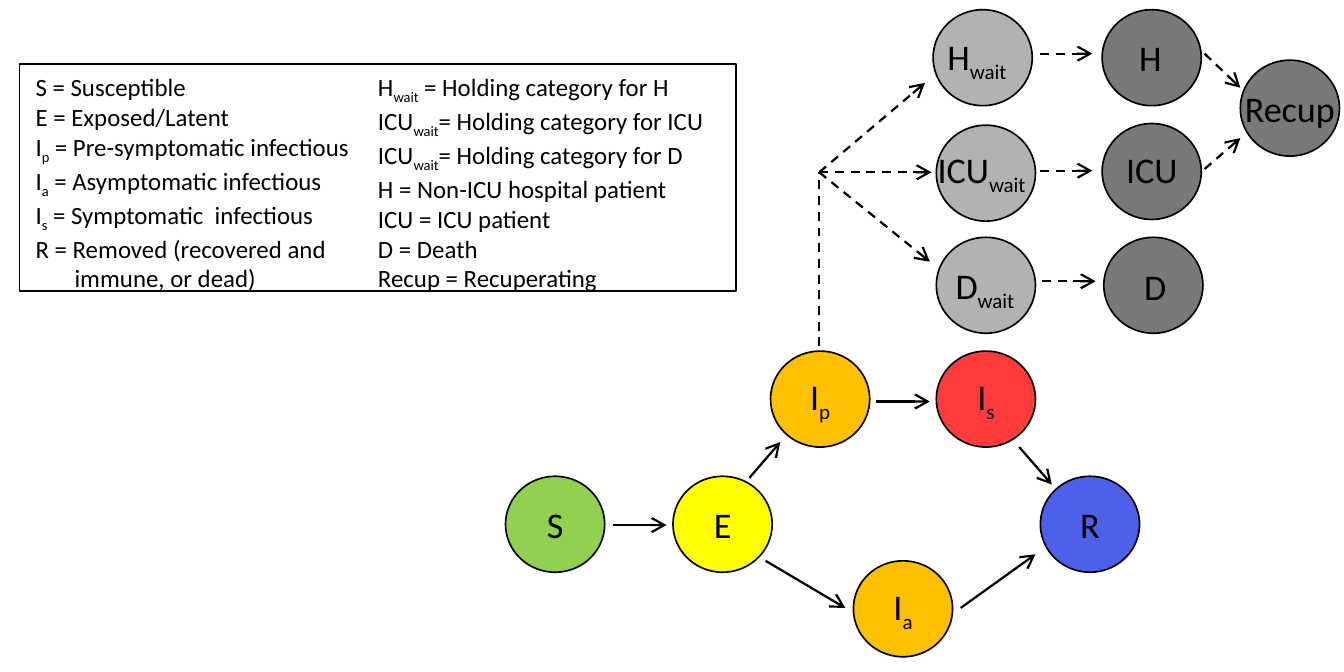
from dataclasses import dataclass

from pptx import Presentation
from pptx.dml.color import RGBColor
from pptx.enum.dml import MSO_LINE
from pptx.enum.shapes import MSO_CONNECTOR, MSO_SHAPE
from pptx.enum.text import MSO_ANCHOR as Anchor, MSO_AUTO_SIZE as AutoSize, PP_ALIGN as Align
from pptx.oxml.ns import qn
from pptx.util import Cm, Inches, Pt
from lxml.etree import SubElement


@dataclass(frozen=True)
class Theme:
    font: str = "Calibri"
    ink: str = "000000"
    susceptible: str = "92D050"
    exposed: str = "FFFF00"
    infectious: str = "FFC000"
    symptomatic: str = "FF3B3B"
    removed: str = "4D60E9"
    waiting: str = "B2B2B2"
    hospital: str = "797979"
    legend_size: float = 11
    node_size: float = 16
    outline: float = 0.75
    arrow: float = 1


THEME = Theme()
CELL = Inches(0.1)
NODE_WIDTH, NODE_HEIGHT = 6.1, 5.9
LABEL_HEIGHT = 3.7
HANGING_INDENT = 2.4


@dataclass(frozen=True)
class Box:
    left: float
    top: float
    width: float
    height: float

    def inside(self, left, top, width, height):
        return Box(self.left + left, self.top + top, width, height)

    def emu(self):
        return [cells(n) for n in (self.left, self.top, self.width, self.height)]


def cells(count):
    return round(count * CELL)


def rgb(color):
    return RGBColor.from_string(color)


def write(frame, lines, size=THEME.node_size, align=Align.LEFT, anchor=Anchor.TOP,
          grow=False, indents=()):
    frame.word_wrap = True
    frame.vertical_anchor = anchor
    frame.auto_size = AutoSize.SHAPE_TO_FIT_TEXT if grow else AutoSize.NONE
    for index, line in enumerate(lines):
        para = frame.add_paragraph() if index else frame.paragraphs[0]
        para.alignment = align
        if index in indents:
            para._p.get_or_add_pPr().set("marL", str(cells(HANGING_INDENT)))
        for part, text in enumerate(line.split("~")):
            if not text:
                continue
            span = para.add_run()
            span.text = text
            span.font.name = THEME.font
            span.font.size = Pt(size)
            span.font.color.rgb = rgb(THEME.ink)
            if part % 2:
                span.font._element.set("baseline", "-25000")


def outlined(page, kind, box, fill=None):
    shape = page.shapes.add_shape(kind, *box.emu())
    shape.shadow.inherit = False
    if fill:
        shape.fill.solid()
        shape.fill.fore_color.rgb = rgb(fill)
    else:
        shape.fill.background()
    shape.line.color.rgb = rgb(THEME.ink)
    shape.line.width = Pt(THEME.outline)
    return shape


def node(page, box, left, top, fill):
    return outlined(page, MSO_SHAPE.OVAL, box.inside(left, top, NODE_WIDTH, NODE_HEIGHT), fill)


def connect(page, box, start, end, dashed=False, head=True):
    points = [cells(n) for x, y in (start, end) for n in (box.left + x, box.top + y)]
    connector = page.shapes.add_connector(MSO_CONNECTOR.STRAIGHT, *points)
    connector.line.color.rgb = rgb(THEME.ink)
    connector.line.width = Pt(THEME.arrow)
    if dashed:
        connector.line.dash_style = MSO_LINE.DASH
    if head:
        SubElement(connector.line._get_or_add_ln(), qn("a:tailEnd")).set("type", "arrow")
    SubElement(connector._element.spPr, qn("a:effectLst"))


def legend(page, box):
    lines = [
        "S = Susceptible",
        "E = Exposed/Latent",
        "I~p~ = Pre-symptomatic infectious",
        "I~a~ = Asymptomatic infectious",
        "I~s~ = Symptomatic  infectious",
        "R = Removed (recovered and",
        "immune, or dead)",
        "H~wait~ = Holding category for H",
        "ICU~wait~= Holding category for ICU",
        "ICU~wait~= Holding category for D",
        "H = Non-ICU hospital patient",
        "ICU = ICU patient",
        "D = Death",
        "Recup = Recuperating",
    ]
    frame = outlined(page, MSO_SHAPE.RECTANGLE, box).text_frame
    write(frame, lines, size=THEME.legend_size, grow=True, indents=(6,))
    frame._txBody.bodyPr.set("numCol", "2")


def infection(page, box):
    upper, middle, lower = 0, 7.7, 12.9
    for text, left, top, fill in [
        ("S", 0, middle, THEME.susceptible),
        ("E", 10.3, middle, THEME.exposed),
        ("I~p~", 16.3, upper, THEME.infectious),
        ("I~s~", 26.5, upper, THEME.symptomatic),
        ("I~a~", 21.4, lower, THEME.infectious),
        ("R", 32.9, middle, THEME.removed),
    ]:
        circle = node(page, box, left, top, fill)
        write(circle.text_frame, [text], align=Align.CENTER, anchor=Anchor.MIDDLE)
    for start, end in [
        ((6.6, 10.7), (9.9, 10.7)),
        ((15, 7.8), (16.9, 5.6)),
        ((16, 12.9), (20.9, 15.8)),
        ((22.8, 3.1), (26.1, 3.1)),
        ((28, 15.8), (32.6, 12.5)),
        ((31.6, 5.9), (33.6, 8.2)),
    ]:
        connect(page, box, start, end)


def care(page, box):
    for text, left, top, fill, shift, drop, width in [
        ("H~wait~", 7, 0, THEME.waiting, -0.1, 1, 6.1),
        ("ICU~wait~", 7.2, 7.1, THEME.waiting, -0.9, 0.9, 8.7),
        ("D~wait~", 7.2, 14, THEME.waiting, 0.2, 1.1, 8.7),
        ("H", 17.4, 0, THEME.hospital, 1.3, 1.1, 3.4),
        ("ICU", 17.4, 7, THEME.hospital, 0.5, 1, 5.7),
        ("D", 17.5, 14, THEME.hospital, 1.5, 1.2, 2.7),
        ("Recup", 25.9, 3.1, THEME.hospital, -0.7, 1.1, 8.1),
    ]:
        node(page, box, left, top, fill)
        label = box.inside(left + shift, top + drop, width, LABEL_HEIGHT)
        write(page.shapes.add_textbox(*label.emu()).text_frame, [text], grow=True)
    hub = (0, 10)
    connect(page, box, (0, box.height), hub, dashed=True, head=False)
    for start, end in [
        (hub, (6.5, 4.5)),
        (hub, (6.9, 10)),
        (hub, (6.8, 15.5)),
        ((13.6, 2.7), (16.8, 2.7)),
        ((13.6, 9.9), (16.8, 9.9)),
        ((13.7, 16.7), (17, 16.7)),
        ((23.7, 2.7), (25.9, 4.8)),
        ((23.7, 9.8), (25.9, 7.9)),
    ]:
        connect(page, box, start, end, dashed=True)


def main():
    deck = Presentation()
    deck.slide_width = Cm(21)
    deck.slide_height = Cm(10.5)
    page = deck.slides.add_slide(deck.slide_layouts[6])
    legend(page, Box(1.2, 3.93, 44.1, 14))
    infection(page, Box(31.1, 21.6, 39, 18.8))
    care(page, Box(50.4, 0.6, 32, 20.7))
    deck.save("out.pptx")


if __name__ == "__main__":
    main()
